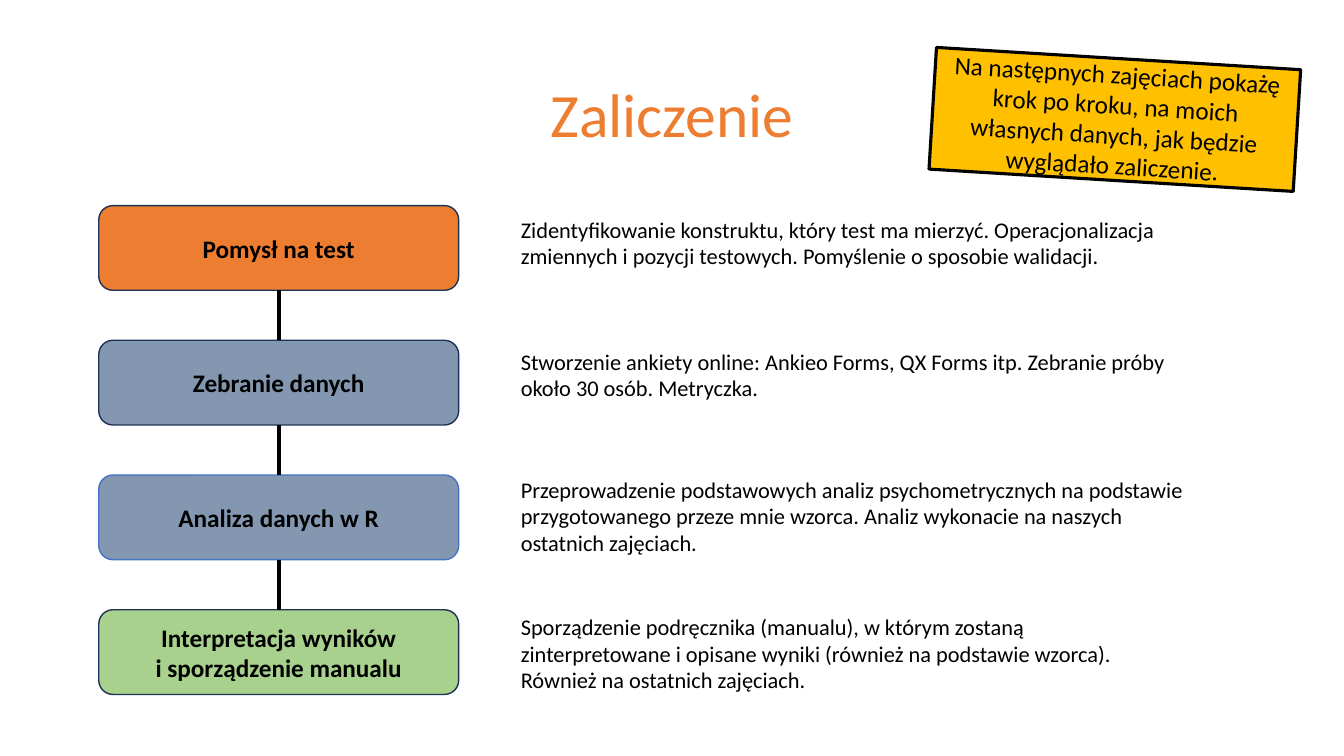
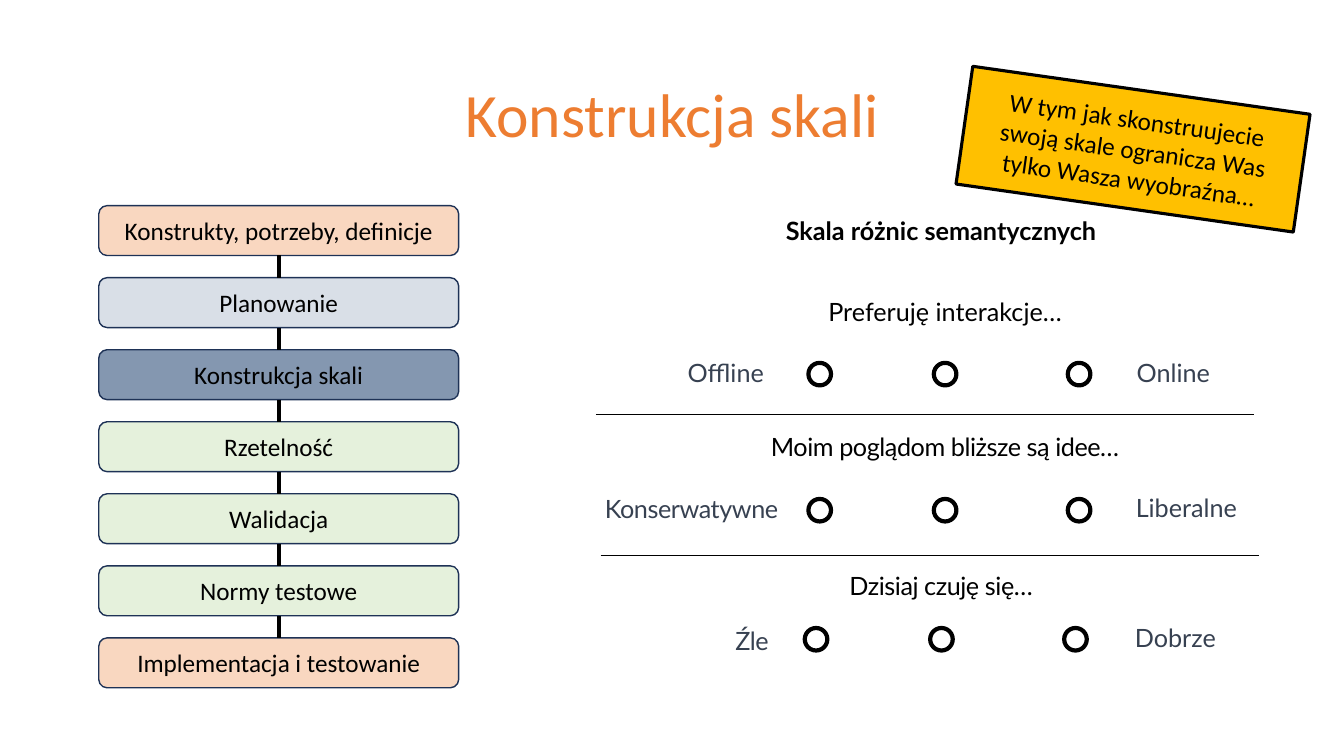
"""Build two slides on the course assignment and on scale construction."""
import pptx
import pptx.dml.color
import pptx.enum.lang
import pptx.enum.shapes
import pptx.enum.text
import pptx.oxml
import pptx.oxml.ns
import pptx.util
from lxml import etree

qn = pptx.oxml.ns.qn
colour = pptx.dml.color.RGBColor.from_string
SHAPE = pptx.enum.shapes.MSO_SHAPE
LINE = pptx.enum.shapes.MSO_CONNECTOR.STRAIGHT
ALIGN = pptx.enum.text.PP_ALIGN
ANCHOR = pptx.enum.text.MSO_ANCHOR

BLACK, NAVY, BLUE, SLATE = "000000", "1E3256", "4472C4", "374151"
ORANGE, STEEL, GREEN, AMBER = "ED7D31", "8497B0", "A9D18E", "FFC000"
BODY, SCALE = "Calibri", "Lato"

deck = pptx.Presentation()
deck.slide_width = pptx.util.Inches(13.3333)
deck.slide_height = pptx.util.Inches(7.5)
column, row = deck.slide_width / 100, deck.slide_height / 100


def draw(slide, kind, place, line=None, weight=1, fill=None, opacity=100):
    """Draw a shape, line or text box at (column, row, columns, rows)."""
    left, top, wide, high = [int(n * unit) for n, unit in zip(place, (column, row) * 2)]
    if kind is None:
        return slide.shapes.add_textbox(left, top, wide, high)
    if kind is LINE:
        item = slide.shapes.add_connector(kind, left, top, left + wide, top + high)
    else:
        item = slide.shapes.add_shape(kind, left, top, wide, high)
        item.shadow.inherit = False
        if fill:
            item.fill.solid()
            item.fill.fore_color.rgb = colour(fill)
            if opacity < 100:
                tint = item.fill._xPr.find(".//" + qn("a:srgbClr"))
                etree.SubElement(tint, qn("a:alpha"), val=str(opacity * 1000))
        else:
            item.fill.background()
    item.line.color.rgb = colour(line)
    item.line.width = pptx.util.Pt(weight)
    if kind is LINE:
        etree.SubElement(item._element.spPr, qn("a:effectLst"))
    return item


def write(item, text, size=18, ink=BLACK, font=BODY, bold=False, align=ALIGN.CENTER,
          anchor=ANCHOR.MIDDLE, inset=None, spacing=0):
    """Fill an item with one paragraph, one run for each line."""
    frame = item.text_frame
    frame.word_wrap = True
    frame.vertical_anchor = anchor
    if inset is not None:
        frame.margin_left = frame.margin_right = 0
        frame.margin_top = frame.margin_bottom = pptx.util.Inches(inset)
    paragraph = frame.paragraphs[0]
    paragraph.alignment = align
    for number, words in enumerate(text.split("\n")):
        if number:
            paragraph.add_line_break()
        run = paragraph.add_run()
        run.text = words
        run.font.size = pptx.util.Pt(size)
        run.font.name = font
        run.font.bold = bold
        run.font.color.rgb = colour(ink)
        run.font.language_id = pptx.enum.lang.MSO_LANGUAGE_ID.POLISH
        if spacing:
            run.font._element.set("spc", str(spacing))


step_left, step_top, step_wide = 7.35, 27.2, 26.78
pages = [
    ("Zaliczenie", 11.2, 17.82, True, [
        ("Pomysł na test", ORANGE, 100, NAVY),
        ("Zebranie danych", STEEL, 100, NAVY),
        ("Analiza danych w R", STEEL, 100, BLUE),
        ("Interpretacja wyników\ni sporządzenie manualu", GREEN, 100, NAVY),
    ], "Na następnych zajęciach pokażę krok po kroku, na moich własnych danych, "
       "jak będzie wyglądało zaliczenie.", (69.38, 7.73, 27.15, 16.13), 3.5),
    ("Konstrukcja skali", 6.6, 9.53, False, [
        ("Konstrukty, potrzeby, definicje", ORANGE, 30, NAVY),
        ("Planowanie", STEEL, 30, NAVY),
        ("Konstrukcja skali", STEEL, 100, NAVY),
        ("Rzetelność", GREEN, 30, NAVY),
        ("Walidacja", GREEN, 30, NAVY),
        ("Normy testowe", GREEN, 30, NAVY),
        ("Implementacja i testowanie", ORANGE, 30, NAVY),
    ], "W tym jak skonstruujecie swoją skale ogranicza Was tylko Wasza wyobraźna…",
     (71.63, 11.87, 25.35, 15.73), 8.1),
]

slides = []
for title, step_high, pitch, bold, steps, remark, remark_place, tilt in pages:
    slide = deck.slides.add_slide(deck.slide_layouts[6])
    slides.append(slide)
    write(draw(slide, None, (6.9, 5.33, 86.25, 19.33)), title, size=44, ink=ORANGE)
    for number, (label, fill, opacity, edge) in enumerate(steps):
        top = step_top + number * pitch
        step = draw(slide, SHAPE.ROUNDED_RECTANGLE, (step_left, top, step_wide, step_high),
                    edge, 1, fill, opacity)
        write(step, label, bold=bold)
        if number:
            gap = pitch - step_high
            draw(slide, LINE, (step_left + step_wide / 2, top - gap, 0, gap), BLACK, 3)
    note = draw(slide, SHAPE.RECTANGLE, remark_place, BLACK, 2.25, AMBER)
    note.rotation = tilt
    write(note, remark)

assignment, construction = slides

descriptions = [
    (28.4, 49.35, "Zidentyfikowanie konstruktu, który test ma mierzyć. Operacjonalizacja "
                  "zmiennych i pozycji testowych. Pomyślenie o sposobie walidacji."),
    (45.87, 49.35, "Stworzenie ankiety online: Ankieo Forms, QX Forms itp. Zebranie próby "
                   "około 30 osób. Metryczka."),
    (62.8, 49.35, "Przeprowadzenie podstawowych analiz psychometrycznych na podstawie "
                  "przygotowanego przeze mnie wzorca. Analiz wykonacie na naszych ostatnich "
                  "zajęciach."),
    (80.93, 48.05, "Sporządzenie podręcznika (manualu), w którym zostaną zinterpretowane "
                   "i opisane wyniki (również na podstawie wzorca). Również na ostatnich "
                   "zajęciach."),
]
for top, wide, description in descriptions:
    write(draw(assignment, None, (38.75, top, wide, 10.9)), description, size=16,
          align=ALIGN.LEFT, anchor=ANCHOR.TOP, inset=0.01)

prompt_wide, pole_wide, text_high = 52.58, 14.25, 4.27
scale_texts = [
    ("Skala różnic semantycznych", 43.73, 28.4, prompt_wide, BLACK, 0),
    ("Preferuję interakcje…", 44.03, 39.07, prompt_wide, BLACK, 0),
    ("Offline", 46.88, 47.07, pole_wide, SLATE, 0),
    ("Online", 80.18, 47.07, pole_wide, SLATE, 0),
    ("Moim poglądom bliższe są idee…", 44.03, 56.93, prompt_wide, BLACK, -30),
    ("Konserwatywne", 44.33, 65.07, pole_wide, SLATE, -30),
    ("Liberalne", 81.15, 64.93, pole_wide, SLATE, 0),
    ("Dzisiaj czuję się…", 43.73, 75.33, prompt_wide, BLACK, -30),
    ("Źle", 48.83, 82.53, pole_wide, SLATE, -30),
    ("Dobrze", 80.33, 82.13, pole_wide, SLATE, 0),
]
for number, (words, left, top, wide, ink, spacing) in enumerate(scale_texts):
    write(draw(construction, None, (left, top, wide, text_high)), words, ink=ink, font=SCALE,
          bold=number == 0, anchor=ANCHOR.TOP, inset=0.01, spacing=spacing)

for left, top in [(60.15, 48), (60.15, 66), (59.88, 83.07)]:
    for offset in (0, 9.33, 19.3):
        draw(construction, SHAPE.OVAL, (left + offset, top, 1.68, 2.98), BLACK, 3)

for left, top in [(44.33, 54.8), (44.7, 73.47)]:
    draw(construction, LINE, (left, top, 48.98, 0), BLACK, 0.5)

deck.save("out.pptx")
